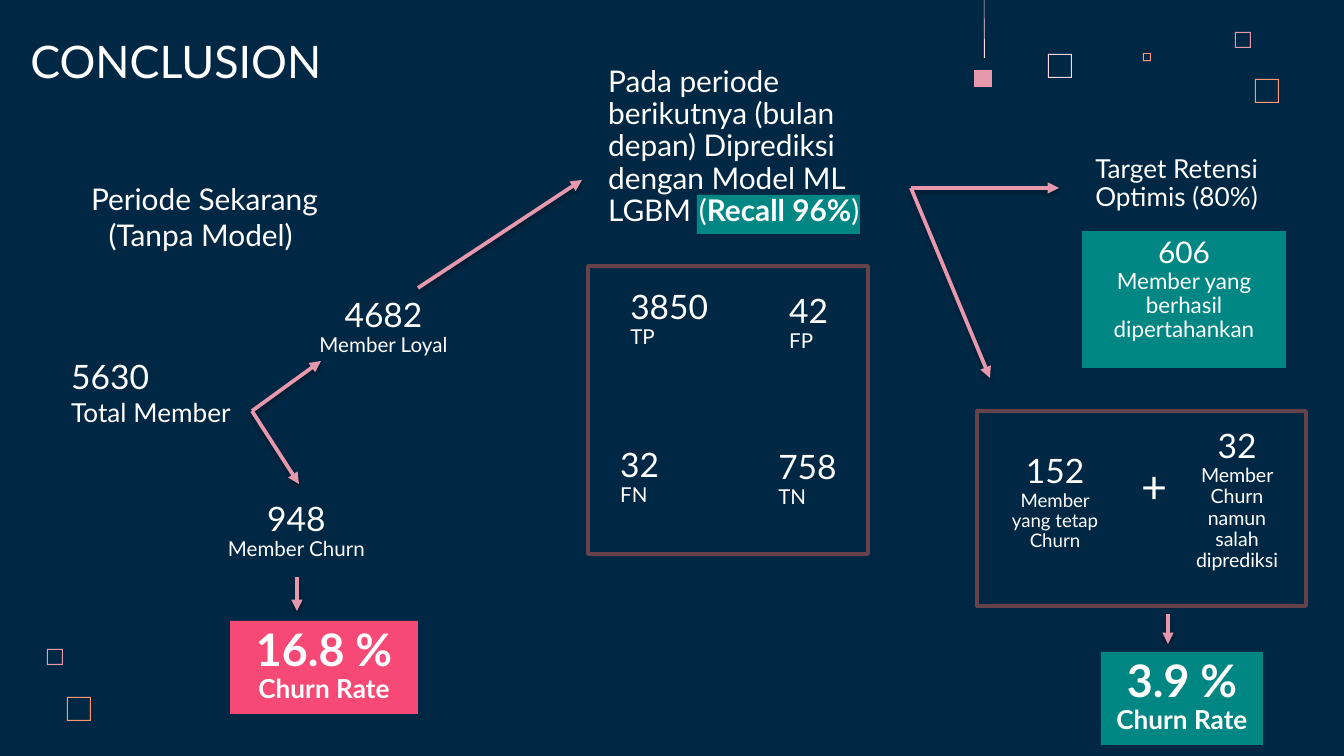
import pptx
import pptx.util
import pptx.dml.color
import pptx.enum.shapes
import pptx.enum.text
import pptx.oxml
import pptx.oxml.ns

EMU_PER_PX = 914400 / 134.4
THEME = {
    "font": "Lato",
    "navy": "002845", "white": "FFFFFF", "teal": "008683", "hot": "F64975",
    "pink": "E898AC", "pale": "FFD6E1", "orange": "FF9973", "frame": "66434B",
    "title": 24, "rate": 24, "number": 18, "heading": 16, "label": 14,
    "note": 12, "small": 11, "fine": 10.5, "tiny": 10,
    "line": 2,
}
LEFT, CENTER = pptx.enum.text.PP_ALIGN.LEFT, pptx.enum.text.PP_ALIGN.CENTER
TOP, BOTTOM = pptx.enum.text.MSO_ANCHOR.TOP, pptx.enum.text.MSO_ANCHOR.BOTTOM

# left, top, side, colour
HOLLOW_SQUARES = [
    (1048, 54, 24, "pale"), (1235, 32, 16, "pink"), (1143, 53, 8, "orange"),
    (1255, 79, 24, "orange"), (47, 649, 16, "pink"), (67, 697, 24, "orange"),
]
PENDANT = [
    ([(974, 70), (974, 87), (992, 87), (992, 70)], "pink"),
    ([(984, -24), (984, 58), (985, 58)], "pale"),
]
RECALL_MARK = (697, 195, 163, 39)
FRAMES = [(977, 411, 329, 195), (588, 266, 280, 288)]

TITLE = ((-35, 4, 433, 97), "CONCLUSION ")
# Place, alignment, then lines of (text, size)
PLAIN_TEXTS = [
    ((58, 343, 220, 78), LEFT, [("5630", "number"), ("Total Member", "label")]),
]
PERIOD = ((47, 169, 315, 97), "Periode Sekarang (Tanpa Model) ")
COUNTS = [
    ((305, 292, 157, 78), CENTER, [("4682", "number"), ("Member Loyal", "small")]),
    ((214, 496, 165, 78), CENTER, [("948", "number"), ("Member Churn", "small")]),
    ((617, 284, 117, 78), LEFT, [("3850", "number"), ("TP", "small")]),
    ((776, 288, 81, 78), LEFT, [("42 ", "number"), ("FP", "small")]),
    ((607, 442, 238, 78), LEFT, [("32", "number"), ("FN", "small")]),
    ((765, 444, 97, 78), LEFT, [("758", "number"), ("TN", "small")]),
    ((1082, 149, 204, 79), LEFT, [("Target Retensi Optimis (80%)", "label")]),
    ((989, 448, 132, 141), CENTER,
     [("152", "number"), ("Member yang tetap Churn", "tiny")]),
    ((1171, 423, 132, 191), CENTER,
     [("32", "number"), ("Member Churn namun salah diprediksi", "fine")]),
]
# Place, fill, bold, lines
CARDS = [
    ((230, 621, 188, 93), "hot", True, [("16.8 %", "rate"), ("Churn Rate", "label")]),
    ((1082, 231, 204, 137), "teal", False,
     [("606", "heading"), ("Member yang berhasil dipertahankan", "note")]),
    ((1101, 652, 162, 93), "teal", True, [("3.9 %", "rate"), ("Churn Rate", "label")]),
]
FORECAST = (595, 60, 284, 200)
FORECAST_SPANS = [
    ("Pada periode berikutnya (bulan depan) Diprediksi dengan Model ML LGBM (", False),
    ("Recall 96%", True), (")", False),
]
PLUS = (1128, 458, 54, 67)
MEMBER_FORK, FORECAST_FORK = (252, 411), (911, 188)
ARROWS = [
    ((418, 288), (582, 180)),
    (MEMBER_FORK, (321, 361)), (MEMBER_FORK, (299, 484)),
    (FORECAST_FORK, (1059, 188)), (FORECAST_FORK, (990, 378)),
    ((297, 577), (297, 611)), ((1168, 614), (1168, 644)),
]
SHADOW = (
    '<a:effectLst %s><a:outerShdw blurRad="39370" dist="20320" dir="5400000">'
    '<a:srgbClr val="000000"><a:alpha val="38000"/></a:srgbClr>'
    '</a:outerShdw></a:effectLst>' % pptx.oxml.ns.nsdecls("a")
)
ARROWHEAD = '<a:tailEnd %s type="triangle"/>' % pptx.oxml.ns.nsdecls("a")


def px(*values):
    return [pptx.util.Emu(round(value * EMU_PER_PX)) for value in values]


def color(name):
    return pptx.dml.color.RGBColor.from_string(THEME[name])


def paint(fill, name):
    fill.solid()
    fill.fore_color.rgb = color(name)


def add_span(para, text, size, bold=False):
    span = para.add_run()
    span.text = text
    span.font.name = THEME["font"]
    span.font.size = pptx.util.Pt(THEME[size])
    span.font.bold = bold
    span.font.color.rgb = color("white")


def prepare(box, align, anchor=TOP, tight=True, wrap=True):
    """Set up the text frame and return its first paragraph; tight text has 0.9 spacing."""
    frame = box.text_frame
    frame.auto_size = pptx.enum.text.MSO_AUTO_SIZE.NONE
    frame.word_wrap = wrap
    frame.vertical_anchor = anchor
    frame.margin_left = frame.margin_right = pptx.util.Inches(0.1)
    frame.margin_top = frame.margin_bottom = pptx.util.Inches(0.05 if tight else 0.1)
    para = frame.paragraphs[0]
    para.alignment = align
    if tight:
        para.line_spacing = 0.9
        para.space_before = pptx.util.Pt(10)
    return para


def write_lines(para, lines, bold=False):
    for index, (text, size) in enumerate(lines):
        if index:
            para.add_line_break()
        add_span(para, text, size, bold)


def add_text(page, place, align, lines, **layout):
    box = page.shapes.add_textbox(*px(*place))
    write_lines(prepare(box, align, **layout), lines)


def add_rect(page, place, fill=None, line=None):
    rect = page.shapes.add_shape(pptx.enum.shapes.MSO_SHAPE.RECTANGLE, *px(*place))
    rect.shadow.inherit = False
    if fill:
        paint(rect.fill, fill)
    else:
        rect.fill.background()
    if line:
        paint(rect.line.fill, line)
        rect.line.width = pptx.util.Pt(THEME["line"])
    else:
        rect.line.fill.background()
    return rect


def add_outline(page, rings, fill):
    """Draw closed rings as one filled freeform; a second ring cuts a hole."""
    builder = page.shapes.build_freeform(*rings[0][0], scale=EMU_PER_PX)
    builder.add_line_segments(rings[0][1:], close=True)
    for ring in rings[1:]:
        builder.move_to(*ring[0])
        builder.add_line_segments(ring[1:], close=True)
    shape = builder.convert_to_shape()
    shape.shadow.inherit = False
    paint(shape.fill, fill)
    shape.line.fill.background()


def square_rings(left, top, side):
    right, bottom = left + side, top + side
    outer = [(left, top), (left, bottom), (right, bottom), (right, top)]
    inner = [(right - 1, top + 1), (right - 1, bottom - 1),
             (left + 1, bottom - 1), (left + 1, top + 1)]
    return [outer, inner]


def add_arrow(page, start, end):
    arrow = page.shapes.add_connector(
        pptx.enum.shapes.MSO_CONNECTOR.STRAIGHT, *px(*start, *end))
    paint(arrow.line.fill, "pink")
    arrow.line.width = pptx.util.Pt(THEME["line"])
    arrow.line._get_or_add_ln().append(pptx.oxml.parse_xml(ARROWHEAD))
    arrow._element.spPr.append(pptx.oxml.parse_xml(SHADOW))


def main():
    deck = pptx.Presentation()
    deck.slide_width, deck.slide_height = px(1344, 756)
    page = deck.slides.add_slide(deck.slide_layouts[5])
    paint(page.background.fill, "navy")

    for left, top, side, name in HOLLOW_SQUARES:
        add_outline(page, square_rings(left, top, side), name)
    for points, name in PENDANT:
        add_outline(page, [points], name)
    add_rect(page, RECALL_MARK, fill="teal")
    for place in FRAMES:
        add_rect(page, place, line="frame")

    title = page.shapes.title
    place, text = TITLE
    title.left, title.top, title.width, title.height = px(*place)
    write_lines(prepare(title, CENTER, BOTTOM, tight=False), [(text, "title")])

    for place, align, lines in PLAIN_TEXTS:
        add_text(page, place, align, lines, tight=False)
    place, text = PERIOD
    add_text(page, place, CENTER, [(text, "heading")], anchor=BOTTOM, tight=False)
    for place, align, lines in COUNTS:
        add_text(page, place, align, lines)
    for place, fill, bold, lines in CARDS:
        write_lines(prepare(add_rect(page, place, fill=fill), CENTER), lines, bold)

    forecast = prepare(page.shapes.add_textbox(*px(*FORECAST)), LEFT)
    for text, bold in FORECAST_SPANS:
        add_span(forecast, text, "heading", bold)
    add_text(page, PLUS, LEFT, [("+", "title")], wrap=False)

    for start, end in ARROWS:
        add_arrow(page, start, end)
    deck.save("out.pptx")


if __name__ == "__main__":
    main()
